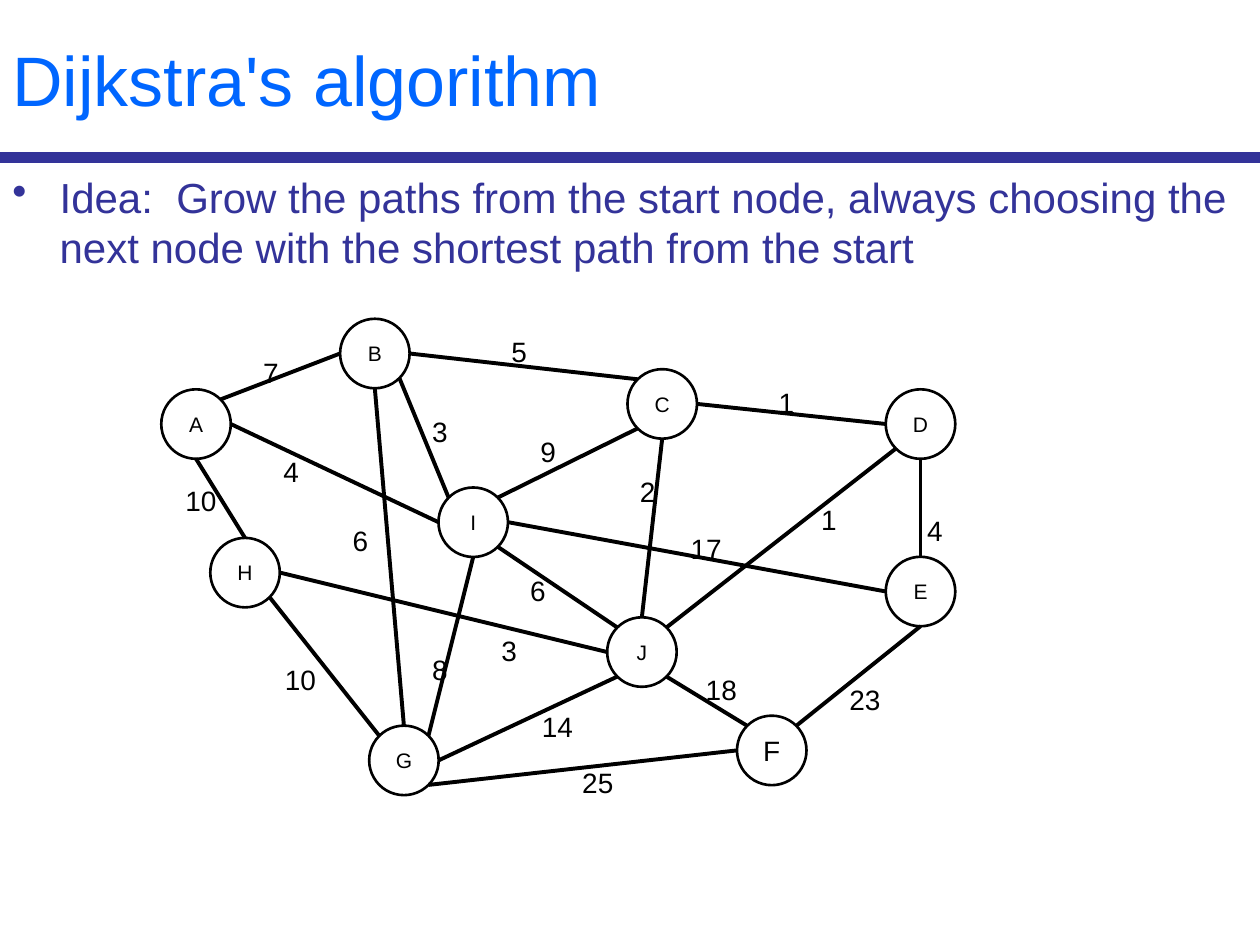
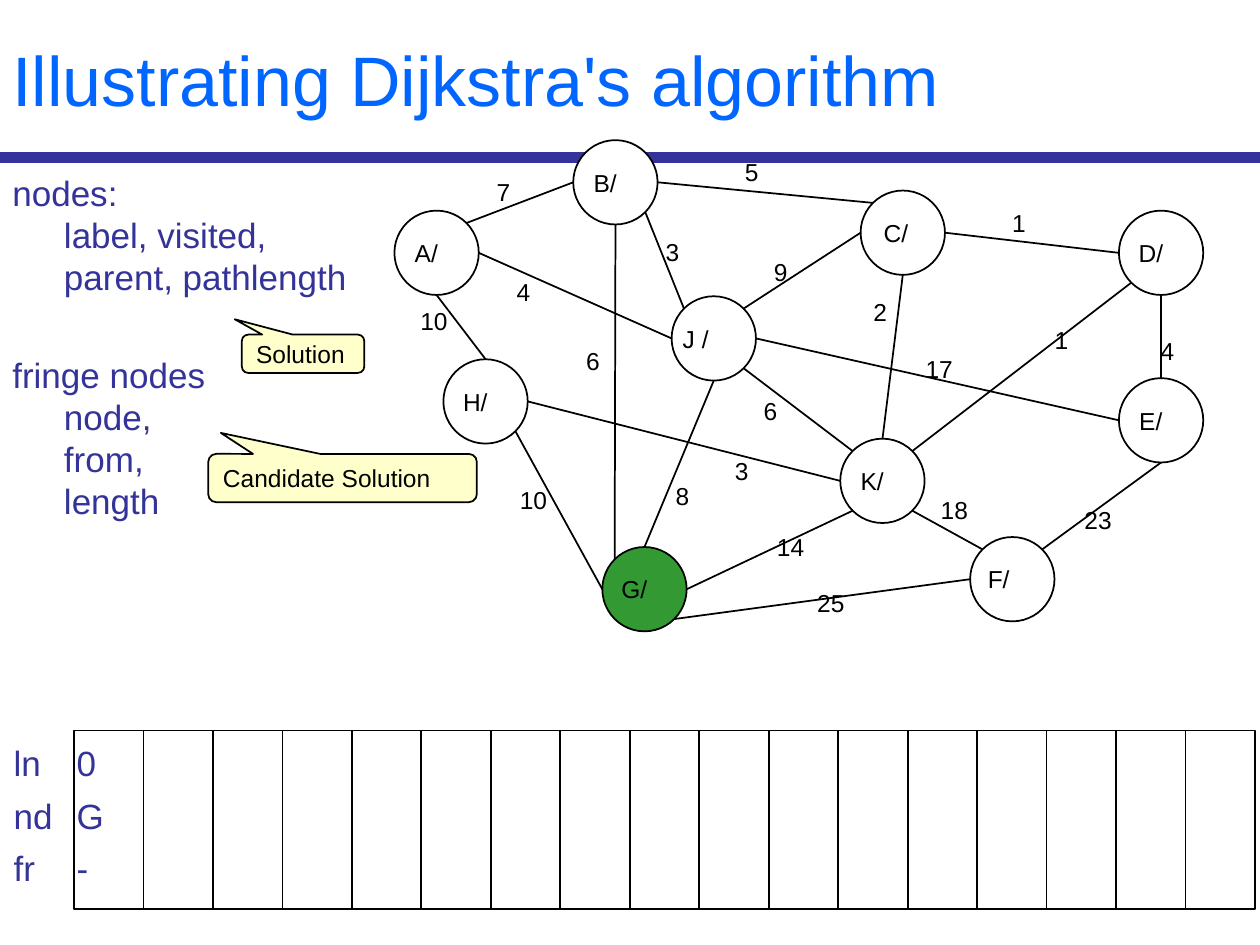
import math
import pptx
import pptx.dml.color
import pptx.enum.shapes
import pptx.enum.text
import pptx.oxml
import pptx.oxml.ns
import pptx.util
from lxml import etree

Pt = pptx.util.Pt
SHAPE = pptx.enum.shapes.MSO_SHAPE
ALIGN = pptx.enum.text.PP_ALIGN
ANCHOR = pptx.enum.text.MSO_ANCHOR

FONT = "Arial"
BLACK, WHITE, NAVY, BLUE = "000000", "FFFFFF", "333399", "0066FF"
GREEN, CREAM = "339933", "FFFFCC"
WIDTH, HEIGHT, TITLE_HEIGHT, BODY_TOP = 720, 540, 90, 94.5

SITES = ["N", "NW", "W", "SW", "S", "SE", "E", "NE"]

CENTRES = {
    "A": (112, 242.3), "B": (214.2, 202), "C": (378.4, 230.8), "E": (526, 338),
    "D": (526, 242.3), "I": (270.4, 298.4), "H": (140, 327.2), "G": (230.8, 434.5),
    "J": (366.8, 372.6), "F": (441, 428.8),
}

EDGES = [
    ("A", "S", "H", "N", "10", (114.8, 272.9)),
    ("B", "W", "A", "NE", "7", (154.5, 199.4)),
    ("I", "E", "E", "W", "17", (403.5, 300.2)),
    ("I", "NW", "B", "SE", "3", (251, 233.3)),
    ("I", "NE", "C", "SW", "9", (312.9, 244.8)),
    ("C", "E", "D", "W", "1", (449, 216.7)),
    ("D", "S", "E", "N", "4", (533.9, 290.2)),
    ("D", "SW", "J", "NE", "1", (473.4, 283.7)),
    ("C", "S", "J", "N", "2", (369.8, 267.8)),
    ("I", "SE", "J", "NW", "6", (307.1, 324)),
    ("J", "W", "H", "E", "3", (290.6, 358.6)),
    ("B", "S", "G", "N", "6", (205.6, 295.9)),
    ("H", "SE", "G", "NW", "10", (171.7, 375.1)),
    ("I", "S", "G", "NE", "8", (251, 369.4)),
    ("J", "SW", "G", "E", "14", (318.6, 401.8)),
    ("G", "SE", "F", "W", "25", (341.6, 434.2)),
    ("E", "S", "F", "NE", "23", (494.3, 386.6)),
    ("J", "SE", "F", "NW", "18", (412.2, 380.9)),
    ("B", "E", "C", "NW", "5", (296.3, 187.9)),
    ("A", "E", "I", "W", "4", (166, 256.3)),
]

OVERVIEW = {
    "diameter": 39.7, "line": 1.5, "edge": 2.25, "size": 12, "weight_size": 16,
    "weight_height": 26.6, "sizes": {"F": 16}, "names": {}, "suffix": "",
    "node_shift": (0, 0), "weight_shift": (0, 0), "moved": {}, "ends": {},
    "weight_moved": {}, "fills": {}, "inset": 0, "insets": {},
}
ILLUSTRATION = {
    "diameter": 48.2, "line": 1, "edge": 1, "size": 14, "weight_size": 14,
    "weight_height": 24.2, "sizes": {}, "names": {"I": "J ", "J": "K"}, "suffix": "/",
    "node_shift": (137.5, -97.8), "weight_shift": (133.2, -101.5),
    "moved": {"I": (0, -7.2)}, "weight_moved": {"IG": (5.8, 3.6)},
    "ends": {"IC": "W", "BG": "NW", "HG": "W", "IG": "N"},
    "fills": {"G": GREEN}, "inset": 11.7, "insets": {"C": 7.8, "F": 15.6, "I": 20.6},
}

IDEA = ("Idea:  Grow the paths from the start node, always choosing the next node "
        "with the shortest path from the start")
RECORDS = [
    ("nodes:", 0, 0),
    ("label, visited,", 29.5, 0),
    ("parent, pathlength", 29.5, 0),
    ("fringe nodes", 0, 32),
    ("node,", 29.5, 0),
    ("from,", 29.5, 0),
    ("length", 29.5, 0),
    ("ln\t0", 0.7, 125.7),
    ("nd\tG", 0.7, 6),
    ("fr\t-", 0.7, 6),
]
CALLOUTS = [
    ("Solution", (138.2, 191.2, 70, 21.9), (-0.558, -0.901, 0.167)),
    ("Candidate Solution", (119, 259.4, 153.5, 27.6), (-0.453, -0.935, 0.167)),
]
STEPS, STEP_LEFT, STEP_TOP, STEP_WIDTH, STEP_HEIGHT = 17, 42.4, 417.4, 39.69, 102


def colour(code):
    return pptx.dml.color.RGBColor.from_string(code)


def add_pt(a, b):
    return a[0] + b[0], a[1] + b[1]


def style(paragraph, size, code, align=ALIGN.LEFT):
    paragraph.alignment = align
    for run in paragraph.runs:
        run.font.name = FONT
        run.font.size = Pt(size)
        run.font.color.rgb = colour(code)


def add_text(slide, box, lines, size, code, align=ALIGN.LEFT, anchor=ANCHOR.TOP):
    frame = slide.shapes.add_textbox(*map(Pt, box)).text_frame
    frame.word_wrap = True
    frame.vertical_anchor = anchor
    frame.text = "\n".join(lines)
    for paragraph in frame.paragraphs:
        style(paragraph, size, code, align)
    return frame


def add_outlined(slide, kind, box, line, fill=None):
    shape = slide.shapes.add_shape(kind, *map(Pt, box))
    shape.shadow.inherit = False
    if fill:
        shape.fill.solid()
        shape.fill.fore_color.rgb = colour(fill)
    else:
        shape.fill.background()
    shape.line.color.rgb = colour(BLACK)
    shape.line.width = Pt(line)
    return shape


def add_line(slide, start, end, width, code):
    line = slide.shapes.add_connector(
        pptx.enum.shapes.MSO_CONNECTOR.STRAIGHT, *map(Pt, (*start, *end)))
    line.line.width = Pt(width)
    line.line.color.rgb = colour(code)
    etree.SubElement(line._element.spPr, pptx.oxml.ns.qn("a:effectLst"))
    return line


def set_indent(paragraph, left, first=0, bullet=None, tab=None):
    properties = paragraph._p.get_or_add_pPr()
    properties.set("marL", str(Pt(left)))
    properties.set("indent", str(Pt(first)))
    if bullet:
        etree.SubElement(properties, pptx.oxml.ns.qn("a:buChar")).set("char", bullet)
    if tab:
        stops = etree.SubElement(properties, pptx.oxml.ns.qn("a:tabLst"))
        stop = etree.SubElement(stops, pptx.oxml.ns.qn("a:tab"))
        stop.set("pos", str(Pt(tab)))
        stop.set("algn", "l")


def add_titled_slide(deck, title):
    slide = deck.slides.add_slide(deck.slide_layouts[6])
    add_line(slide, (0, TITLE_HEIGHT), (WIDTH, TITLE_HEIGHT), 6, NAVY)
    add_text(slide, (0, 0, WIDTH, TITLE_HEIGHT), [title], 40, BLUE, anchor=ANCHOR.MIDDLE)
    return slide


def add_body(slide, lines, size):
    return add_text(slide, (0, BODY_TOP, WIDTH, HEIGHT - BODY_TOP), lines, size, NAVY)


def add_graph(slide, look):
    diameter = look["diameter"]
    centres = {key: add_pt(add_pt(centre, look["node_shift"]), look["moved"].get(key, (0, 0)))
               for key, centre in CENTRES.items()}
    nodes = {}
    for key, (x, y) in centres.items():
        box = (x - diameter / 2, y - diameter / 2, diameter, diameter)
        node = add_outlined(slide, SHAPE.OVAL, box, look["line"], look["fills"].get(key, WHITE))
        frame = node.text_frame
        frame.word_wrap = False
        frame.margin_left = 0
        frame.margin_right = Pt(look["insets"].get(key, look["inset"]))
        frame.text = look["names"].get(key, key) + look["suffix"]
        style(frame.paragraphs[0], look["sizes"].get(key, look["size"]), BLACK, ALIGN.CENTER)
        nodes[key] = node

    def site_point(key, site):
        angle = math.radians(45 * SITES.index(site))
        reach = diameter / 2
        return add_pt(centres[key], (-reach * math.sin(angle), -reach * math.cos(angle)))

    for start, start_site, end, end_site, weight, spot in EDGES:
        end_site = look["ends"].get(start + end, end_site)
        first, last = site_point(start, start_site), site_point(end, end_site)
        edge = add_line(slide, first, last, look["edge"], BLACK)
        edge.begin_connect(nodes[start], 0)
        edge.end_connect(nodes[end], 0)
        for tag, site in (("a:stCxn", start_site), ("a:endCxn", end_site)):
            edge._element.xpath(".//" + tag)[0].set("idx", str(SITES.index(site)))
        edge.begin_x, edge.begin_y = map(Pt, first)
        edge.end_x, edge.end_y = map(Pt, last)

    for start, _, end, _, weight, spot in EDGES:
        moved = look["weight_moved"].get(start + end, (0, 0))
        x, top = add_pt(add_pt(spot, look["weight_shift"]), moved)
        width = 11 + 11.4 * len(weight)
        add_text(slide, (x - width / 2, top, width, look["weight_height"]), [weight],
                 look["weight_size"], BLACK, ALIGN.CENTER)


def add_overview(deck):
    slide = add_titled_slide(deck, "Dijkstra's algorithm")
    idea = add_body(slide, [IDEA], 24)
    set_indent(idea.paragraphs[0], 27, -27, bullet="•")
    add_graph(slide, OVERVIEW)


def add_illustration(deck):
    slide = add_titled_slide(deck, "Illustrating Dijkstra's algorithm")
    records = add_body(slide, [text for text, _, _ in RECORDS], 20)
    for paragraph, (text, indent, gap) in zip(records.paragraphs, RECORDS):
        paragraph.space_before = Pt(gap)
        set_indent(paragraph, indent, tab=38 if "\t" in text else None)
    for text, box, adjustments in CALLOUTS:
        callout = add_outlined(slide, SHAPE.ROUNDED_RECTANGULAR_CALLOUT, box, 1, CREAM)
        for index, value in enumerate(adjustments):
            callout.adjustments[index] = value
        callout.text_frame.word_wrap = False
        callout.text_frame.text = text
        style(callout.text_frame.paragraphs[0], 14, BLACK)
    add_graph(slide, ILLUSTRATION)
    for step in range(STEPS):
        box = (STEP_LEFT + step * STEP_WIDTH, STEP_TOP, STEP_WIDTH, STEP_HEIGHT)
        add_outlined(slide, SHAPE.RECTANGLE, box, 1)


def main():
    deck = pptx.Presentation()
    deck.slide_width, deck.slide_height = Pt(WIDTH), Pt(HEIGHT)
    add_overview(deck)
    add_illustration(deck)
    deck.save("out.pptx")


if __name__ == "__main__":
    main()
